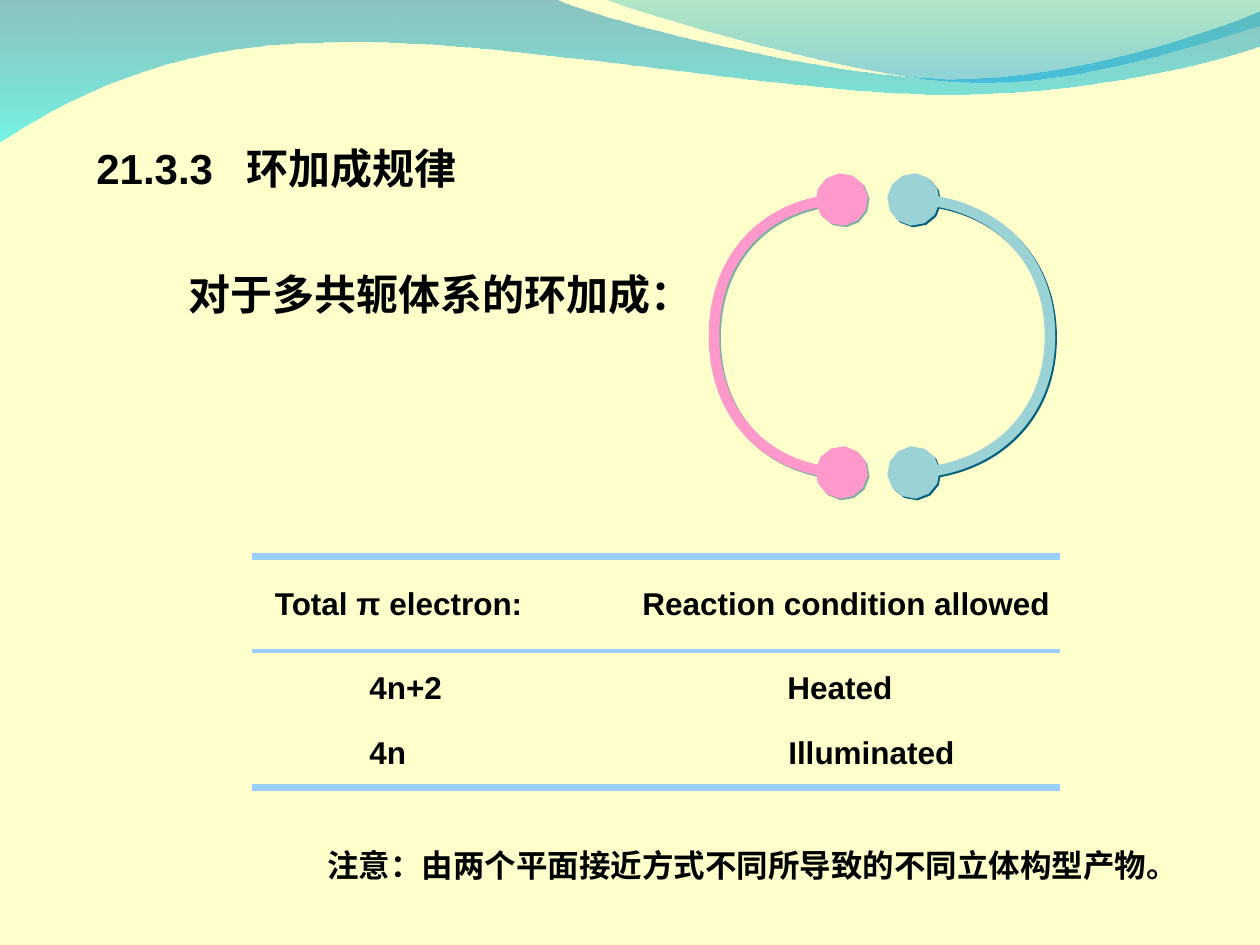
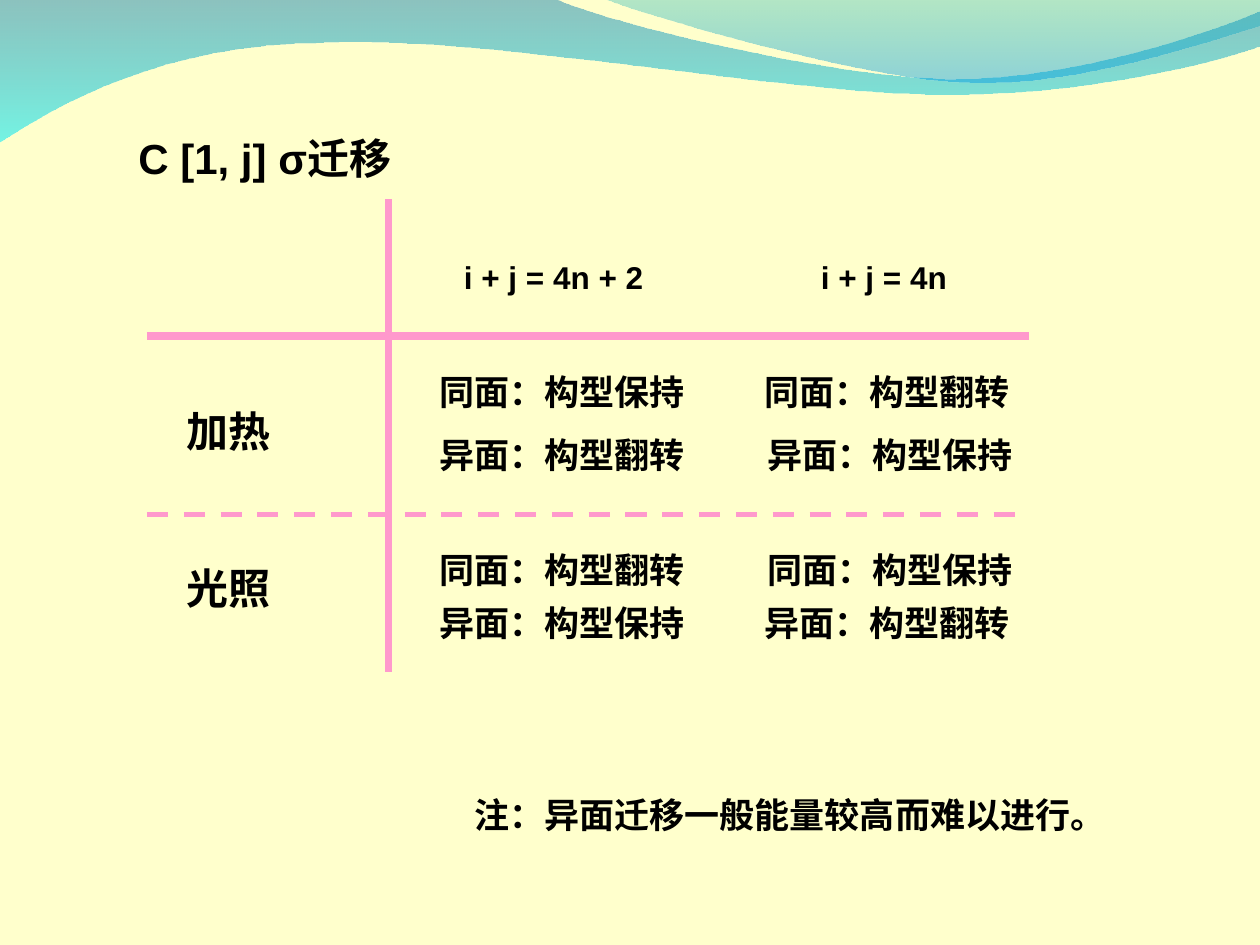
import lxml.etree
import pptx
import pptx.dml.color
import pptx.enum.dml
import pptx.enum.shapes
import pptx.enum.text
import pptx.oxml.ns
import pptx.util

Pt = pptx.util.Pt
qn = pptx.oxml.ns.qn
LATIN, CJK = "Arial", "Noto Sans CJK SC"
ARC_PULL = 0.55
COLORS = {
    "paper": "FFFFCC", "text": "000000", "pink": "FF99CC", "teal": "9AD2D6",
    "rule": "99CCFF", "shadow": "04617B", "wave_top": "0079AF",
    "wave_bottom": "00EBF8", "crest_top": "00ADB6", "crest_bottom": "009BE5",
}
WAVE = [
    (0, -0.7), (317, -0.7), (343, 12, 478, 45, 546, 45), (614, 45, 690, 19, 720, 6.5),
    (720.7, 26), (708, 32, 626, 55, 537, 54), (448, 54, 275, 20, 185, 24.5),
    (93, 25, 33, 60, -0.7, 81.5),
]
CREST = [
    (345, -0.7), (366, 8, 491, 45, 554, 47), (616, 49.5, 692, 23, 720, 15), (720, 0),
]


def rgb(name):
    return pptx.dml.color.RGBColor.from_string(COLORS[name])


def add_outline(s, segments, close):
    ends = [(Pt(seg[-2]), Pt(seg[-1])) for seg in segments]
    left, top = (min(axis) for axis in zip(*ends))
    builder = s.shapes.build_freeform(*ends[0], scale=1.0)
    builder.add_line_segments(ends[1:], close=close)
    sp = builder.convert_to_shape()
    sp.shadow.inherit = False
    for node, seg in zip(list(sp._element.iter(qn("a:lnTo"))), segments[1:]):
        if len(seg) == 6:
            curve = lxml.etree.Element(qn("a:cubicBezTo"))
            for x, y in zip(seg[::2], seg[1::2]):
                lxml.etree.SubElement(curve, qn("a:pt"),
                                      x=str(Pt(x) - left), y=str(Pt(y) - top))
            node.getparent().replace(node, curve)
    return sp


def add_wave(s, segments, stops):
    sp = add_outline(s, segments, True)
    sp.line.fill.background()
    sp.fill.gradient()
    sp.fill.gradient_angle = 270
    for stop, (color, opacity) in zip(sp.fill.gradient_stops, stops):
        stop.color.rgb = rgb(color)
    colors = sp._element.spPr.iter(qn("a:srgbClr"))
    for clr, (color, opacity) in zip(colors, stops):
        lxml.etree.SubElement(clr, qn("a:alpha"), val=str(opacity * 1000))


def add_arc(s, x, y, rx, ry, color, opacity):
    quarter = (x + rx * ARC_PULL, y + ry, x + rx, y + ry * ARC_PULL, x + rx, y)
    sp = add_outline(s, [(x, y + ry), quarter], False)
    sp.fill.background()
    sp.line.color.rgb = rgb(color)
    sp.line.width = Pt(6)
    spPr = sp._element.spPr
    lxml.etree.SubElement(spPr.find(qn("a:ln")), qn("a:headEnd"),
                          type="oval", w="lg", len="lg")
    shadow = lxml.etree.SubElement(
        spPr.find(qn("a:effectLst")), qn("a:outerShdw"), blurRad="0",
        dist=str(Pt(1.4)), dir="2700000", algn="ctr", rotWithShape="0")
    clr = lxml.etree.SubElement(shadow, qn("a:srgbClr"), val=COLORS["shadow"])
    lxml.etree.SubElement(clr, qn("a:alpha"), val=str(opacity * 1000))


def add_rule(s, x1, y1, x2, y2, color, width, dash=None):
    line = s.shapes.add_connector(pptx.enum.shapes.MSO_CONNECTOR.STRAIGHT,
                                  Pt(x1), Pt(y1), Pt(x2), Pt(y2))
    line.line.color.rgb = rgb(color)
    line.line.width = Pt(width)
    if dash:
        line.line.dash_style = dash
    lxml.etree.SubElement(line._element.spPr, qn("a:effectLst"))


def add_text(s, text, x, y, width, size, center=False, indent=0, tab=0):
    box = s.shapes.add_textbox(Pt(x), Pt(y), Pt(width), Pt(size * 1.2 + 7.2))
    tf = box.text_frame
    tf.word_wrap = True
    tf.text = text
    p = tf.paragraphs[0]
    if center:
        p.alignment = pptx.enum.text.PP_ALIGN.CENTER
    pPr = p._p.get_or_add_pPr()
    if indent:
        pPr.set("marL", str(Pt(indent)))
    if tab:
        tabs = lxml.etree.SubElement(pPr, qn("a:tabLst"))
        lxml.etree.SubElement(tabs, qn("a:tab"), pos=str(Pt(tab)), algn="l")
    for r in p.runs:
        r.font.size = Pt(size)
        r.font.bold = True
        r.font.name = LATIN
        r.font.color.rgb = rgb("text")
        lxml.etree.SubElement(r._r.get_or_add_rPr(), qn("a:ea"), typeface=CJK)


def add_slide(prs):
    s = prs.slides.add_slide(prs.slide_layouts[6])
    add_wave(s, WAVE, [("wave_top", 45), ("wave_bottom", 55)])
    add_wave(s, CREST, [("crest_top", 30), ("crest_bottom", 45)])
    return s


def cycloaddition_slide(prs):
    s = add_slide(prs)
    for x, rx, color, opacity in [(522, 78, "teal", 100), (481, -73, "pink", 50)]:
        for ry in (-78, 78):
            add_arc(s, x, 192, rx, ry, color, opacity)
    add_text(s, "Total π electron:", 150, 330, 204, 18)
    add_text(s, "Reaction condition allowed", 360, 330, 282, 18)
    rows = [("4n+2", "Heated", 378, 108), ("4n", "Illuminated", 415.5, 144)]
    for electrons, condition, y, width in rows:
        add_text(s, electrons, 204, y, 72, 18)
        add_text(s, condition, 426, y, width, 18, center=True)
    for y, width in [(318, 4.5), (372, 2.25), (450, 4.5)]:
        add_rule(s, 144, y, 606, y, "rule", width)
    add_text(s, "对于多共轭体系的环加成：", 90, 150, 366, 24, indent=10.8)
    add_text(s, "注意：由两个平面接近方式不同所导致的不同立体构型产物。", 180, 480, 510, 18)
    add_text(s, "21.3.3\t环加成规律", 48, 78, 318, 24, tab=86)


def sigma_shift_slide(prs):
    s = add_slide(prs)
    add_text(s, "C [1, j] σ迁移", 72, 72, 438, 24)
    add_rule(s, 84, 192, 588, 192, "pink", 4.5)
    add_rule(s, 222, 114, 222, 384, "pink", 4.5)
    add_text(s, "i + j = 4n + 2", 258, 144, 120, 18)
    add_text(s, "i + j = 4n", 462, 144, 90, 18)
    add_text(s, "加热", 99.5, 228, 66, 24)
    add_text(s, "光照", 99.5, 318, 66, 24)
    add_rule(s, 84, 294, 588, 294, "pink", 3, pptx.enum.dml.MSO_LINE.DASH)
    keep, flip = "构型保持", "构型翻转"
    right = {keep: 431.5, flip: 429.75}
    rows = [("同面", 208, keep, flip), ("异面", 244, flip, keep),
            ("同面", 310, flip, keep), ("异面", 340, keep, flip)]
    for face, y, first, second in rows:
        add_text(s, f"{face}：{first}", 244, y, 160, 20)
        add_text(s, f"{face}：{second}", right[second], y, 160, 20)
    add_text(s, "注：异面迁移一般能量较高而难以进行。", 264, 450, 408, 20)


def main():
    prs = pptx.Presentation()
    prs.slide_width, prs.slide_height = Pt(720), Pt(540)
    fill = prs.slide_master.background.fill
    fill.solid()
    fill.fore_color.rgb = rgb("paper")
    cycloaddition_slide(prs)
    sigma_shift_slide(prs)
    prs.save("out.pptx")


if __name__ == "__main__":
    main()
